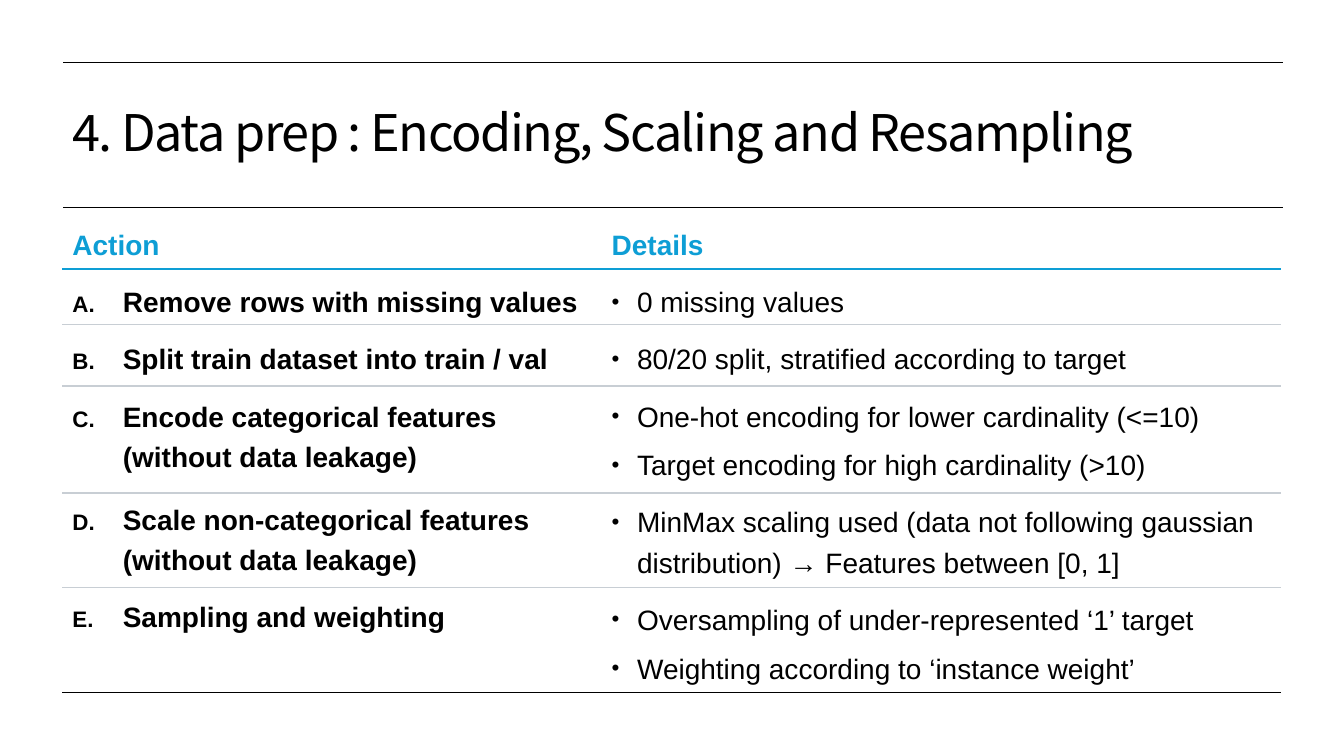
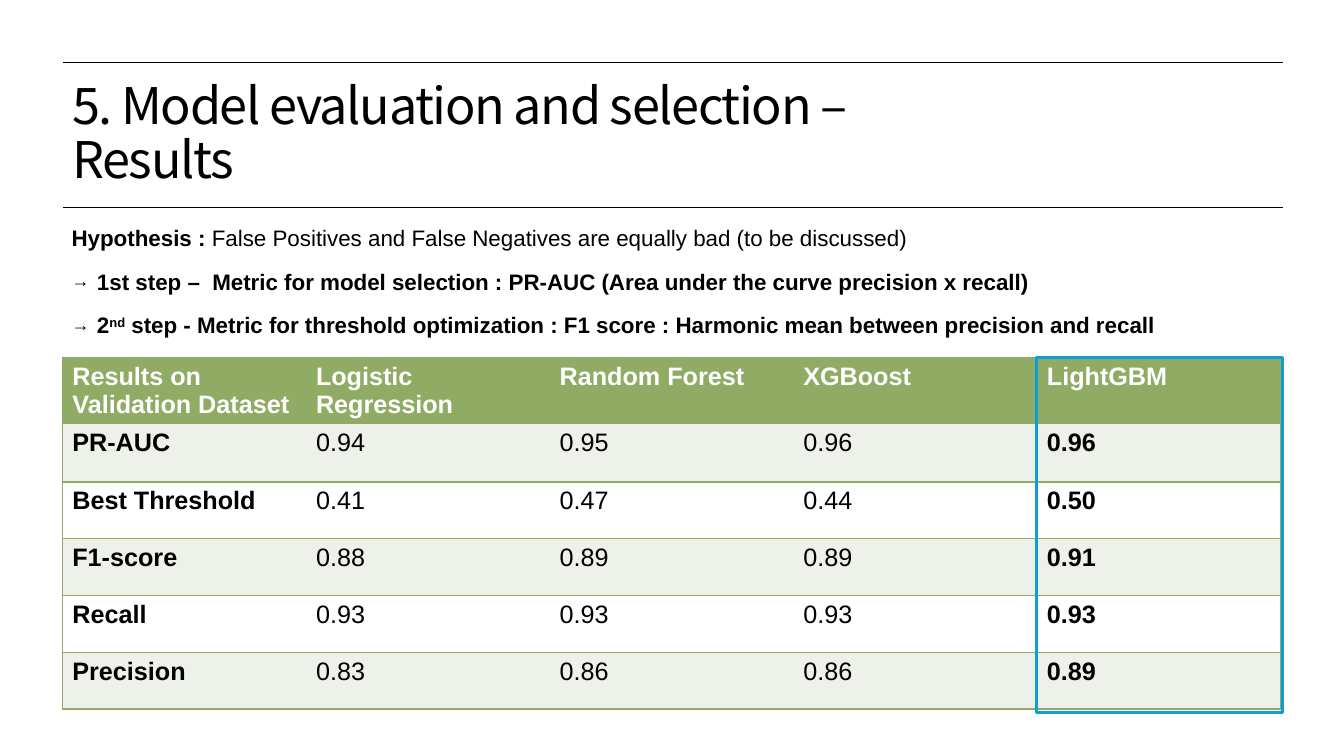
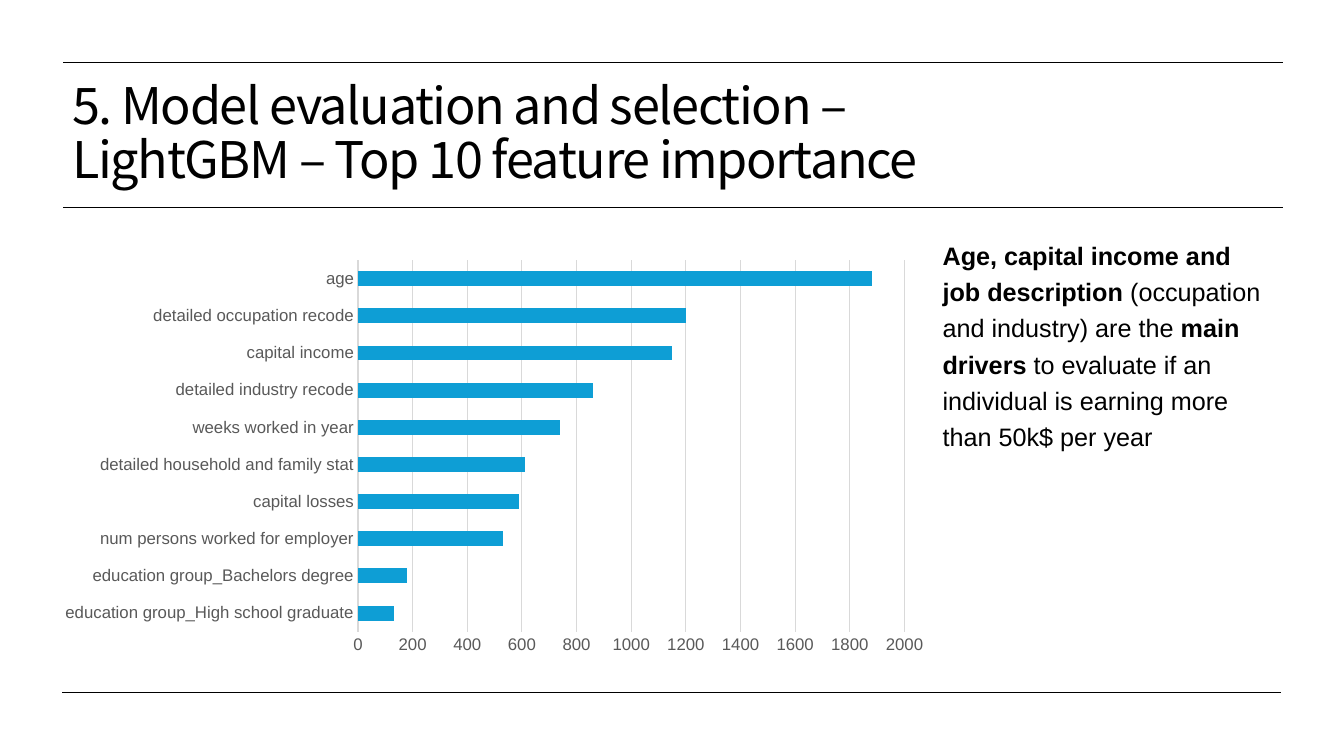
from lxml import etree
from pptx import Presentation
from pptx.chart.data import CategoryChartData
from pptx.dml.color import RGBColor
from pptx.enum.chart import XL_CHART_TYPE, XL_TICK_MARK
from pptx.enum.shapes import MSO_CONNECTOR, MSO_SHAPE
from pptx.enum.text import MSO_ANCHOR, MSO_AUTO_SIZE, PP_ALIGN
from pptx.oxml.ns import qn
from pptx.util import Cm, Pt

STACKED_BARS = XL_CHART_TYPE.BAR_STACKED
NO_TICKS = XL_TICK_MARK.NONE
STRAIGHT = MSO_CONNECTOR.STRAIGHT
RECTANGLE = MSO_SHAPE.RECTANGLE
TOP, MIDDLE = MSO_ANCHOR.TOP, MSO_ANCHOR.MIDDLE
FIXED_SIZE = MSO_AUTO_SIZE.NONE
LEFT = PP_ALIGN.LEFT

BLACK, WHITE = "000000", "FFFFFF"
BLUE, GREEN, PALE_GREEN = "0E9ED5", "90AB63", "EEF1EA"
ROW_GREY, GRID_GREY, LABEL_GREY = "C8CED4", "D9D9D9", "595959"
BODY_FONT, TITLE_FONT = "Arial", "Noto Sans CJK KR"
CONTENT_LAYOUT, COMPARISON_LAYOUT = 1, 4

TITLE_BOX = (1.57, 1.9, 30.68, 3.02)
RULES = ((1.6, 32.33, 1.57), (1.6, 32.33, 5.23), (1.57, 32.28, 17.45))

ACTIONS = (
    (("Remove rows with missing values",), 12),
    (("Split train dataset into train / val",), 12),
    (("Encode categorical features ", "(without data leakage)"), 12),
    (("Scale non-categorical features", "(without data leakage)"), 16),
    (("Sampling and weighting",), 12),
)
DETAILS = (
    (("0 missing values",), 12),
    (("80/20 split, stratified according to target",), 12),
    (("One-hot encoding for lower cardinality (<=10)",), 12),
    (("Target encoding for high cardinality (>10)",), 6),
    (("MinMax scaling used (data not following gaussian distribution) "
      "→ Features between [0, 1]",), 12),
    (("Oversampling of under-represented ‘1’ target",), 12),
    (("Weighting according to ‘instance weight’",), 6),
)
ROW_LINES = ((6.78, BLUE), (8.18, ROW_GREY), (9.73, ROW_GREY),
             (12.42, ROW_GREY), (14.81, ROW_GREY))

HYPOTHESIS = (
    ("Hypothesis : ", True),
    ("False Positives and False Negatives are equally bad (to be discussed)", False),
)
STEPS = (
    (("1st step –  Metric for model selection : PR-AUC "
      "(Area under the curve precision x recall)", True),),
    (("2", True), ("nd", True, 30000),
     (" step - Metric for threshold optimization : F1 score : "
      "Harmonic mean between precision and recall", True)),
)
RESULTS = (
    ("Results on Validation Dataset", "Logistic Regression", "Random Forest",
     "XGBoost", "LightGBM"),
    ("PR-AUC", "0.94", "0.95", "0.96", "0.96"),
    ("Best Threshold", "0.41", "0.47", "0.44", "0.50"),
    ("F1-score", "0.88", "0.89", "0.89", "0.91"),
    ("Recall", "0.93", "0.93", "0.93", "0.93"),
    ("Precision", "0.83", "0.86", "0.86", "0.89"),
)
ROW_HEIGHTS = (1.67, 1.47, 1.43, 1.43, 1.43, 1.43)

IMPORTANCE = (
    ("education group_High school graduate", 130),
    ("education group_Bachelors degree", 180),
    ("num persons worked for employer", 530),
    ("capital losses", 590),
    ("detailed household and family stat", 610),
    ("weeks worked in year", 740),
    ("detailed industry recode", 860),
    ("capital income", 1150),
    ("detailed occupation recode", 1200),
    ("age", 1880),
)
PLOT_AREA = (("x", 0.35), ("y", 0.02), ("w", 0.61), ("h", 0.91))
CONCLUSION = (
    ("Age, capital income and job description ", True),
    ("(occupation and industry) are the ", False),
    ("main drivers ", True),
    ("to evaluate if an individual is earning more than 50k$ per year", False),
)


def colour(value):
    """Turn a hex string into a colour."""
    return RGBColor.from_string(value)


def add_node(parent, tag, **attributes):
    """Append an XML element with the given attributes."""
    node = etree.SubElement(parent, qn(tag))
    for name, value in attributes.items():
        node.set(name, str(value))
    return node


def style_font(font, size, hue=BLACK, bold=False, face=BODY_FONT):
    """Set face, size, weight and colour of a font."""
    font.name = face
    font.size = Pt(size)
    font.bold = bold
    font.color.rgb = colour(hue)


def add_span(para, text, size, hue=BLACK, bold=False, baseline=0):
    """Add one formatted run, raised when a baseline is given."""
    span = para.add_run()
    span.text = text
    style_font(span.font, size, hue, bold)
    if baseline:
        span.font._element.set("baseline", str(baseline))


def add_rule(page, left, right, y, hue, weight):
    """Draw a horizontal line."""
    rule = page.shapes.add_connector(STRAIGHT, Cm(left), Cm(y), Cm(right), Cm(y))
    rule.line.color.rgb = colour(hue)
    rule.line.width = Pt(weight)
    add_node(rule._element.spPr, "a:effectLst")


def place(shape, box, anchor=TOP):
    """Move a placeholder to a box and return its text frame."""
    shape.left, shape.top, shape.width, shape.height = map(Cm, box)
    frame = shape.text_frame
    frame.word_wrap = True
    frame.auto_size = FIXED_SIZE
    frame.vertical_anchor = anchor
    return frame


def next_para(frame, spacing, before):
    """Return the empty first paragraph or a new one, with its spacing."""
    first = frame.paragraphs[0]
    para = frame.add_paragraph() if first.runs else first
    para.alignment = LEFT
    para.line_spacing = spacing
    para.space_before = Pt(before)
    para.space_after = Pt(0)
    return para


def set_bullet(para, indent=0, mark=None, number=None):
    """Give a paragraph a character, a number or no bullet."""
    props = para._p.get_or_add_pPr()
    props.set("marL", str(Cm(indent)))
    props.set("indent", str(-Cm(indent)))
    if not mark and not number:
        add_node(props, "a:buNone")
        return
    add_node(props, "a:buSzPct", val=80000)
    add_node(props, "a:buFont", typeface=BODY_FONT)
    if number:
        add_node(props, "a:buAutoNum", type=number)
    else:
        add_node(props, "a:buChar", char=mark)


def start_page(deck, layout, *title_lines):
    """Add a slide with the shared rules and title."""
    page = deck.slides.add_slide(deck.slide_layouts[layout])
    for left, right, y in RULES:
        add_rule(page, left, right, y, BLACK, 0.5)
    para = next_para(place(page.shapes.title, TITLE_BOX, MIDDLE), 0.9, 0)
    for index, line in enumerate(title_lines):
        if index:
            para.add_line_break()
        span = para.add_run()
        span.text = line
        style_font(span.font, 36, face=TITLE_FONT)
        span.font._element.set("spc", "-100")
    return page


def fill_list(shape, box, items, bold, indent, **bullet):
    """Write a bulleted list into a placeholder."""
    frame = place(shape, box)
    for lines, before in items:
        para = next_para(frame, 1.2, before)
        set_bullet(para, indent, **bullet)
        for index, line in enumerate(lines):
            if index:
                para.add_line_break()
            add_span(para, line, 20, bold=bold)


def fill_paragraph(frame, spans, size, spacing, before, indent=0, mark=None):
    """Write one paragraph of mixed runs."""
    para = next_para(frame, spacing, before)
    set_bullet(para, indent, mark)
    for text, bold, *baseline in spans:
        add_span(para, text, size, BLACK, bold, *baseline)


def fill_heading(shape, box, text):
    """Write a blue column heading."""
    para = next_para(place(shape, box), 1.2, 10)
    set_bullet(para)
    add_span(para, text, 20, BLUE, True)


def border_cell(cell, sides):
    """Draw the named sides of a cell and clear the others."""
    props = cell._tc.get_or_add_tcPr()
    for side in "LRTB":
        line = add_node(props, f"a:ln{side}", w=Pt(1))
        if side in sides:
            add_node(add_node(line, "a:solidFill"), "a:srgbClr", val=GREEN)
        else:
            add_node(line, "a:noFill")


def add_results(page, left, top, width):
    """Add the score table and frame its last column."""
    last = len(RESULTS[0]) - 1
    column_width = width / (last + 1)
    height = sum(ROW_HEIGHTS)
    table = page.shapes.add_table(len(RESULTS), last + 1, Cm(left), Cm(top),
                                  Cm(width), Cm(height)).table
    table.horz_banding = False
    for column in table.columns:
        column.width = Cm(column_width)
    for r, values in enumerate(RESULTS):
        table.rows[r].height = Cm(ROW_HEIGHTS[r])
        fill = GREEN if r == 0 else PALE_GREEN if r % 2 else WHITE
        for c, value in enumerate(values):
            cell = table.cell(r, c)
            border_cell(cell, "TB" + "L" * (c == 0) + "R" * (c == last))
            cell.fill.solid()
            cell.fill.fore_color.rgb = colour(fill)
            add_span(cell.text_frame.paragraphs[0], value, 18,
                     BLACK if r else WHITE, r == 0 or c in (0, last))
    frame = page.shapes.add_shape(RECTANGLE, Cm(left + last * column_width), Cm(top),
                                  Cm(column_width + 0.06), Cm(height + 0.09))
    frame.shadow.inherit = False
    frame.fill.background()
    frame.line.color.rgb = colour(BLUE)
    frame.line.width = Pt(2.25)


def add_importance(page, box):
    """Add the bar chart of feature importance."""
    data = CategoryChartData()
    data.categories = [name for name, _ in IMPORTANCE]
    data.add_series("Series 1", [value for _, value in IMPORTANCE])
    chart = page.shapes.add_chart(STACKED_BARS, *map(Cm, box), data).chart
    chart.has_legend = False
    chart.has_title = False
    style_font(chart.font, 10)

    plot = chart.plots[0]
    plot.vary_by_categories = False
    plot.gap_width = 150
    plot.overlap = 100
    bars = plot.series[0].format.fill
    bars.solid()
    bars.fore_color.rgb = colour(BLUE)

    names, scale = chart.category_axis, chart.value_axis
    for axis in (names, scale):
        axis.major_tick_mark = axis.minor_tick_mark = NO_TICKS
        style_font(axis.tick_labels.font, 12, LABEL_GREY)
    names.has_major_gridlines = False
    scale.has_major_gridlines = True
    scale.minimum_scale, scale.maximum_scale, scale.major_unit = 0, 2000, 200
    scale.format.line.fill.background()
    for line in (names.format.line, scale.major_gridlines.format.line):
        line.color.rgb = colour(GRID_GREY)
        line.width = Pt(0.75)

    area = chart.element.find(f".//{qn('c:plotArea')}")
    for old in area.findall(qn("c:layout")):
        area.remove(old)
    layout = add_node(area, "c:layout")
    area.insert(0, layout)
    manual = add_node(layout, "c:manualLayout")
    add_node(manual, "c:layoutTarget", val="inner")
    for side in "xy":
        add_node(manual, f"c:{side}Mode", val="edge")
    for name, share in PLOT_AREA:
        add_node(manual, f"c:{name}", val=share)


def build_preparation(deck):
    """Build the slide of preparation actions and details."""
    page = start_page(deck, COMPARISON_LAYOUT,
                      "4. Data prep : Encoding, Scaling and Resampling")
    holders = page.placeholders
    fill_heading(holders[1], (1.57, 5.44, 13.5, 1.32), "Action")
    fill_heading(holders[3], (15.16, 5.44, 17.12, 1.32), "Details")
    fill_list(holders[2], (1.57, 6.88, 13.56, 10.87), ACTIONS, True, 1.27,
              number="alphaUcPeriod")
    fill_list(holders[4], (15.16, 6.88, 17.12, 10.87), DETAILS, False, 0.64, mark="•")
    for y, hue in ROW_LINES:
        add_rule(page, 1.57, 32.28, y, hue, 1)


def build_results(deck):
    """Build the slide of model scores."""
    page = start_page(deck, CONTENT_LAYOUT,
                      "5. Model evaluation and selection – ", "Results")
    frame = place(page.placeholders[1], (1.55, 5.46, 31.57, 3.3))
    fill_paragraph(frame, HYPOTHESIS, 16, 1.1, 10)
    for step in STEPS:
        fill_paragraph(frame, step, 16, 1.1, 10, 0.64, "→")
    add_results(page, 1.57, 9, 30.7)


def build_importance(deck):
    """Build the slide of feature importance."""
    page = start_page(deck, CONTENT_LAYOUT, "5. Model evaluation and selection – ",
                      "LightGBM – Top 10 feature importance")
    frame = place(page.placeholders[1], (23.5, 5.77, 8.81, 10.87))
    fill_paragraph(frame, CONCLUSION, 18, 1.2, 0)
    add_importance(page, (1.12, 6.35, 22.58, 10.29))


def main():
    """Build and save the deck."""
    deck = Presentation()
    deck.slide_width, deck.slide_height = Cm(33.87), Cm(19.05)
    build_preparation(deck)
    build_results(deck)
    build_importance(deck)
    deck.save("out.pptx")


if __name__ == "__main__":
    main()
